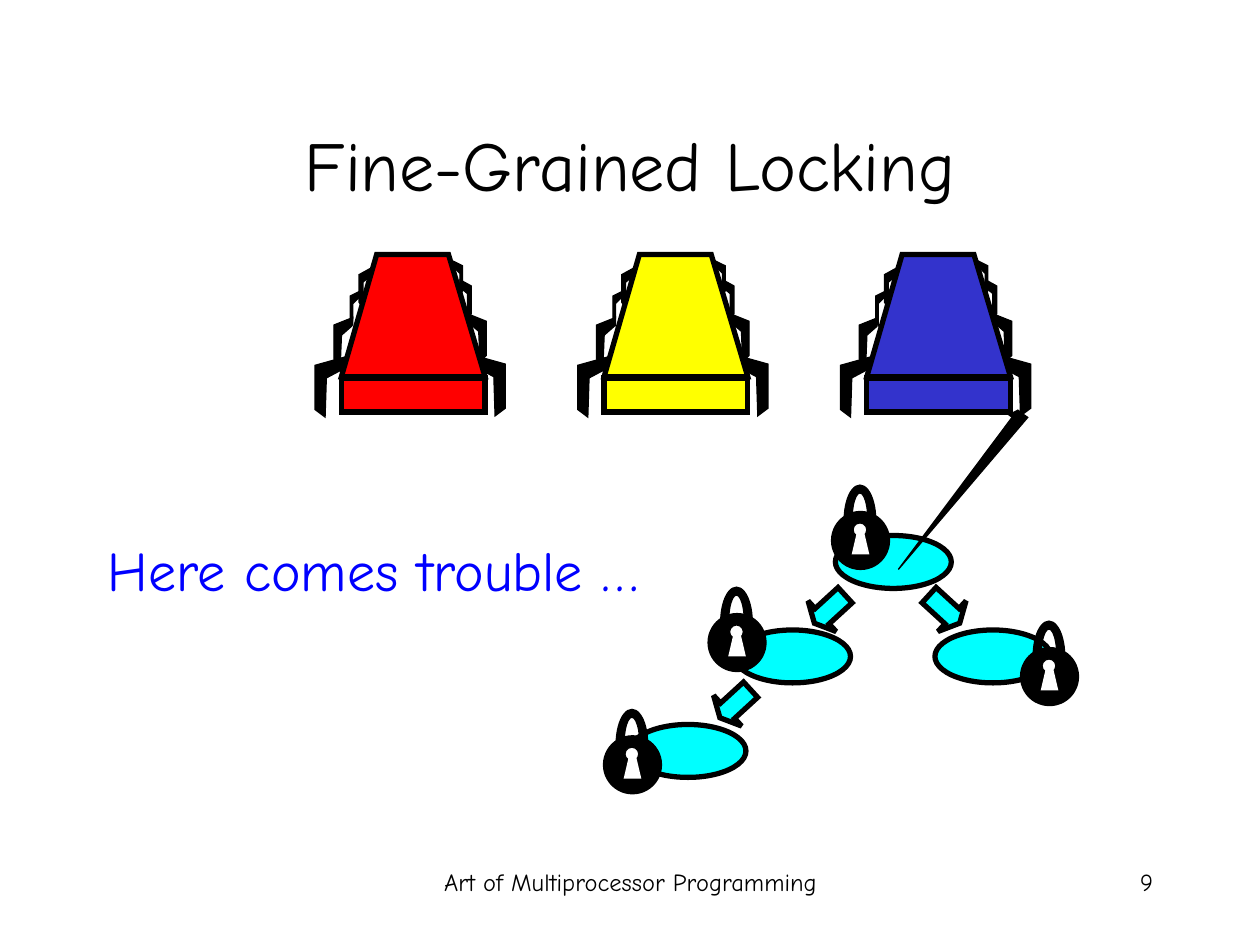
from typing import NamedTuple

from lxml.etree import SubElement as Sub
from pptx import Presentation
from pptx.dml.color import RGBColor as Rgb
from pptx.enum.shapes import MSO_SHAPE as Geo
from pptx.enum.text import MSO_ANCHOR as Anchor, MSO_AUTO_SIZE as Auto, PP_ALIGN as Align
from pptx.oxml.ns import qn
from pptx.util import Cm, Pt

FONT = "Comic Neue"
BLACK, WHITE, CYAN = "000000", "FFFFFF", "00FFFF"


class Box(NamedTuple):
    x: float
    y: float
    w: float
    h: float


class Leg(NamedTuple):
    right: tuple
    left: tuple
    pts: list


class Bug(NamedTuple):
    x: float
    color: str


class Arrow(NamedTuple):
    x: float
    y: float
    turn: float


LEGS = [
    Leg((1.05, 2.82), (0.04, 2.83),
        [(0, 0), (0.25, 0.07), (0.25, 0.42), (0.17, 0.48), (0.16, 0.17), (0.01, 0.09)]),
    Leg((1, 2.49), (0.09, 2.52),
        [(0, 0), (0.15, 0.06), (0.15, 0.33), (0.1, 0.38), (0.09, 0.14), (0.01, 0.07)]),
    Leg((0.94, 2.22), (0.23, 2.13),
        [(0, 0), (0.09, 0.05), (0.09, 0.27), (0.06, 0.31), (0.06, 0.11), (0, 0.06)]),
    Leg((0.88, 2.07), (0.15, 2.31),
        [(0, 0), (0.08, 0.04), (0.08, 0.24), (0.06, 0.27), (0.06, 0.1), (0.01, 0.05)]),
]
BUGS = [Bug(2.71 + 2.085 * i, c) for i, c in enumerate(["FF0000", "FFFF00", "3333CC"])]
NODES = [(7.42, 5), (6.63, 4.25), (5.83, 5), (5, 5.75)]
ARROWS = [Arrow(7.33, 4.67, 42.5), Arrow(6.42, 4.67, 137.5), Arrow(5.67, 5.42, 137.5)]
LOCKS = [(4.79, 5.84), (5.62, 4.87), (8.1, 5.14), (6.6, 4.06)]


def inch(v: float) -> int:
    return Cm(v * 2.54)


def rgb(color: str) -> Rgb:
    return Rgb.from_string(color)


def paint(shape, fill: str, width: float) -> None:
    shape.shadow.inherit = False
    shape.fill.solid()
    shape.fill.fore_color.rgb = rgb(fill)
    if width:
        shape.line.color.rgb = rgb(BLACK)
        shape.line.width = Pt(width)
        Sub(shape.line._get_or_add_ln(), qn("a:miter"), lim="800000")
    else:
        shape.line.fill.background()


def draw(shapes, geo, box: Box, fill: str, width: float = 0.75):
    shape = shapes.add_shape(geo, *map(inch, box))
    paint(shape, fill, width)
    return shape


def trace(shapes, pts: list, fill: str, width: float = 0.75, close: bool = True):
    pts = [(inch(x), inch(y)) for x, y in pts]
    pen = shapes.build_freeform(*pts[0], scale=1)
    pen.add_line_segments(pts[1:], close=close)
    shape = pen.convert_to_shape()
    paint(shape, fill, width)
    return shape


def add_bug(shapes, bug: Bug) -> None:
    parts = shapes.add_group_shape().shapes
    for side in (1, -1):
        for leg in LEGS:
            x, y = leg.right if side == 1 else leg.left
            trace(parts, [(bug.x + x + side * dx, y + dy) for dx, dy in leg.pts], BLACK)
    back = [(0, 2.99), (1.14, 2.99), (0.85, 2.02), (0.28, 2.02)]
    trace(parts, [(bug.x + x, y) for x, y in back], bug.color, 3)
    draw(parts, Geo.RECTANGLE, Box(bug.x, 3, 1.14, 0.27), bug.color, 3)


def add_node(shapes, x: float, y: float) -> None:
    draw(shapes, Geo.OVAL, Box(x, y, 0.92, 0.42), CYAN, 3)


def add_arrow(shapes, arrow: Arrow) -> None:
    shape = draw(shapes, Geo.RIGHT_ARROW, Box(arrow.x, arrow.y, 0.33, 0.33), CYAN, 3)
    shape.adjustments[0], shape.adjustments[1] = 0.5, 0.25
    shape.rotation = arrow.turn


def add_lock(shapes, x: float, y: float) -> None:
    parts = shapes.add_group_shape().shapes
    draw(parts, Geo.OVAL, Box(x, y, 0.46, 0.46), BLACK)
    draw(parts, Geo.OVAL, Box(x + 0.17, y + 0.09, 0.11, 0.11), WHITE)
    slot = [(0.16, 0.34), (0.3, 0.34), (0.26, 0.17), (0.2, 0.17)]
    trace(parts, [(x + dx, y + dy) for dx, dy in slot], WHITE, 0)
    bow = draw(parts, Geo.BLOCK_ARC, Box(x + 0.1, y - 0.21, 0.25, 0.55), BLACK)
    for i, v in enumerate((108, 0, 0.25)):
        bow.adjustments[i] = v


def write(shape, text: str, size: float, color: str, align, anchor=Anchor.TOP) -> None:
    frame = shape.text_frame
    frame.word_wrap = True
    frame.auto_size = Auto.NONE
    frame.vertical_anchor = anchor
    para = frame.paragraphs[0]
    para.alignment = align
    run = para.add_run()
    run.text = text
    run.font.name = FONT
    run.font.size = Pt(size)
    run.font.color.rgb = rgb(color)


def add_text(shapes, box: Box, text: str, size: float, color: str, align):
    shape = shapes.add_textbox(*map(inch, box))
    write(shape, text, size, color, align)
    return shape


def main() -> None:
    deck = Presentation()
    deck.slide_width, deck.slide_height = inch(10), inch(7.5)
    shapes = deck.slides.add_slide(deck.slide_layouts[5]).shapes

    title = shapes.title
    title.left, title.top, title.width, title.height = map(inch, Box(0.75, 0.67, 8.5, 1.25))
    write(title, "Fine-Grained Locking", 40, BLACK, Align.CENTER, Anchor.MIDDLE)

    add_bug(shapes, BUGS[0])
    for x, y in NODES[:3]:
        add_node(shapes, x, y)
    for arrow in ARROWS:
        add_arrow(shapes, arrow)
    add_node(shapes, *NODES[3])
    for bug in BUGS[1:]:
        add_bug(shapes, bug)

    reach = trace(shapes, [(8.16, 3.31), (7.13, 4.52), (8.08, 3.25)], BLACK, close=False)
    Sub(reach.line._get_or_add_ln(), qn("a:tailEnd"), type="triangle")
    for x, y in LOCKS:
        add_lock(shapes, x, y)

    note = add_text(shapes, Box(0.75, 4.2, 4.43, 0.64), "Here comes trouble …",
                    32, "0000FF", Align.CENTER)
    note.text_frame.word_wrap = False
    note.text_frame.auto_size = Auto.SHAPE_TO_FIT_TEXT
    add_text(shapes, Box(3.42, 6.83, 3.17, 0.5), "Art of Multiprocessor Programming",
             14, BLACK, Align.CENTER)
    add_text(shapes, Box(7.17, 6.83, 2.08, 0.5), "9", 14, BLACK, Align.RIGHT)
    deck.save("out.pptx")


if __name__ == "__main__":
    main()
